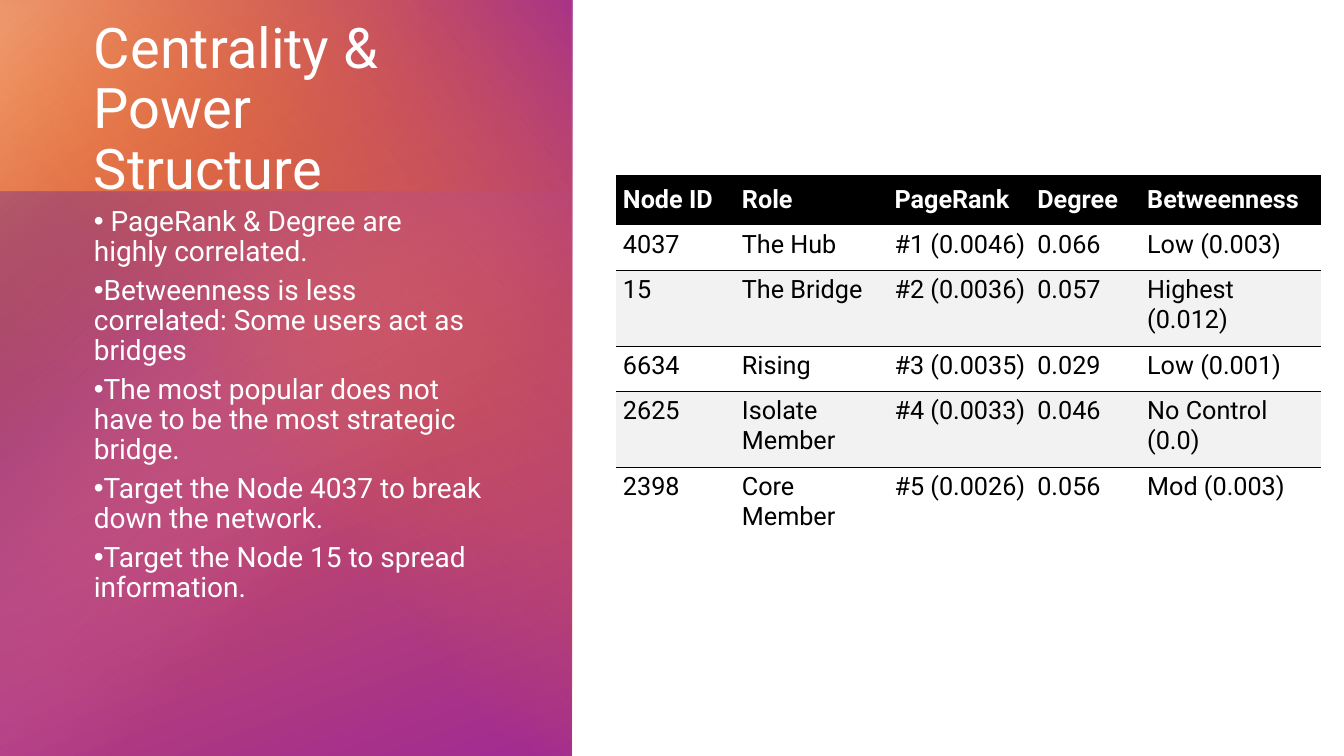
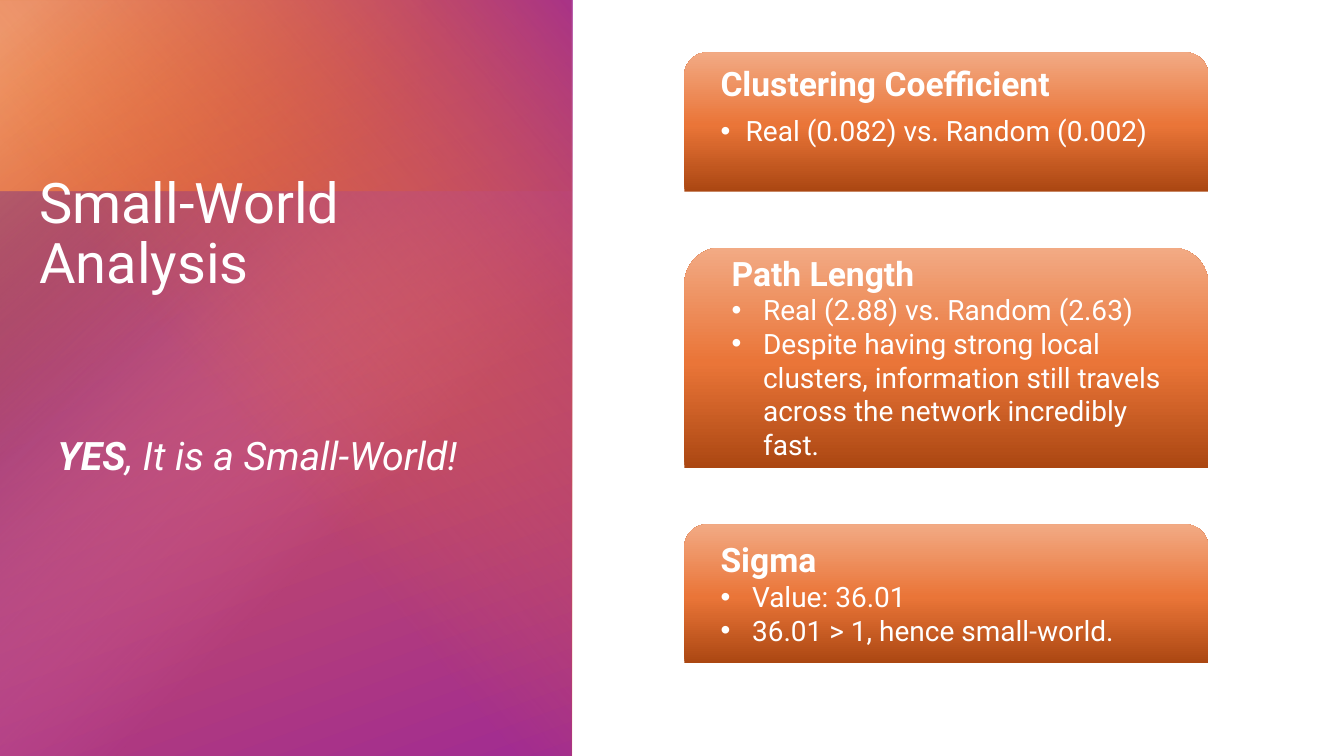
import lxml.etree
import pptx
import pptx.dml.color
import pptx.enum.shapes
import pptx.enum.text
import pptx.oxml
import pptx.oxml.ns
import pptx.util

Pt = pptx.util.Pt
RGBColor = pptx.dml.color.RGBColor
MSO_SHAPE = pptx.enum.shapes.MSO_SHAPE
MSO_ANCHOR = pptx.enum.text.MSO_ANCHOR
qn = pptx.oxml.ns.qn

# Shared look
FONT = "Roboto"
WHITE = RGBColor(0xFF, 0xFF, 0xFF)
BLACK = RGBColor(0x00, 0x00, 0x00)
STRIPE = RGBColor(0xF2, 0xF2, 0xF2)
ORANGE = RGBColor(0xE9, 0x71, 0x32)
PEACH = RGBColor(0xF2, 0xAA, 0x84)
BRIGHT_ORANGE = RGBColor(0xEA, 0x75, 0x38)
RUST = RGBColor(0xAB, 0x47, 0x12)
PURPLE = RGBColor(0xA0, 0x2B, 0x93)
DARK_PURPLE = RGBColor(0x78, 0x20, 0x6E)
PINK = RGBColor(0xD8, 0x6E, 0xCC)

TITLE_SIZE, HEADING_SIZE, BODY_SIZE, TABLE_SIZE = 40, 24, 20, 18
NO_GRID_STYLE = "{2D5ABB26-0587-4C30-8999-92F81FD0307C}"

# Left panel layers: left, top, width, height, rotation, stops, angle (None = radial)
# A stop is position %, colour, opacity %
PANEL_LAYERS = [
    (-1.5, 0, 409.5, 542, 0, [(7, ORANGE, 100), (100, PURPLE, 100)], 70),
    (-1.5, 136.5, 409.5, 405.5, 180, [(0, DARK_PURPLE, 100), (60, PINK, 0)], None),
    (-1.5, 0.5, 301.5, 541.5, 0, [(3, PEACH, 78), (42, ORANGE, 0)], 50),
    (-66.5, 66, 541.5, 409.5, 270, [(0, PURPLE, 86), (57, ORANGE, 0)], 230),
]
CARD_STOPS = [(0, RUST, 100), (48, BRIGHT_ORANGE, 100), (100, PEACH, 100)]

# Slide content
POWER_POINTS = [
    " PageRank & Degree are highly correlated.",
    "Betweenness is less correlated: Some users act as bridges",
    "The most popular does not have to be the most strategic bridge.",
    "Target the Node 4037 to break down the network.",
    "Target the Node 15 to spread information.",
]
NODE_COLUMNS = [85, 109, 102, 78.5, 129]
NODE_ROWS = [
    ["Node ID", "Role", "PageRank", "Degree", "Betweenness"],
    ["4037", "The Hub", "#1 (0.0046)", "0.066", "Low (0.003)"],
    ["15", "The Bridge", "#2 (0.0036)", "0.057", "Highest (0.012)"],
    ["6634", "Rising", "#3 (0.0035)", "0.029", "Low (0.001)"],
    ["2625", "Isolate Member", "#4 (0.0033)", "0.046", "No Control (0.0)"],
    ["2398", "Core Member", "#5 (0.0026)", "0.056", "Mod (0.003)"],
]
# Cards: height, text left, text top inside the card, text width,
# bullet indent, line spacing, space before bullets, lines
CARDS = [
    (99.4, 507.6, 7.2, 321, 18, 0.9, 10,
     ["Clustering Coefficient", "Real (0.082) vs. Random (0.002)"]),
    (157.7, 515.5, 0, 321, 22.5, 1.0, 0,
     ["Path Length", "Real (2.88) vs. Random (2.63)",
      "Despite having strong local clusters, information still travels "
      "across the network incredibly fast."]),
    (99.4, 507.6, 7.2, 329, 22.5, 1.0, 0,
     ["Sigma", "Value: 36.01", "36.01 > 1, hence small-world."]),
]


def style_font(font, size, color=WHITE, bold=False, italic=False):
    font.name = FONT
    font.size = Pt(size)
    font.color.rgb = color
    font.bold = bold
    font.italic = italic


def set_gradient(shape, stops, angle):
    """Fill with a linear gradient, or a radial one when angle is None."""
    properties = shape.fill._xPr
    gradient = pptx.oxml.parse_xml(
        '<a:gradFill xmlns:a="%s" rotWithShape="1"/>' % pptx.oxml.ns.nsuri("a"))
    stop_list = lxml.etree.SubElement(gradient, qn("a:gsLst"))
    for position, color, opacity in stops:
        stop = lxml.etree.SubElement(stop_list, qn("a:gs"), pos=str(position * 1000))
        tint = lxml.etree.SubElement(stop, qn("a:srgbClr"), val=str(color))
        if opacity < 100:
            lxml.etree.SubElement(tint, qn("a:alpha"), val=str(opacity * 1000))
    if angle is None:
        circle = lxml.etree.SubElement(gradient, qn("a:path"))
        circle.set("path", "circle")
        lxml.etree.SubElement(circle, qn("a:fillToRect"), r="100000", b="100000")
    else:
        lxml.etree.SubElement(gradient, qn("a:lin"), ang=str(angle * 60000), scaled="0")
    properties.find(qn("a:prstGeom")).addnext(gradient)


def add_gradient_shape(slide, kind, left, top, width, height, stops, angle):
    shape = slide.shapes.add_shape(kind, Pt(left), Pt(top), Pt(width), Pt(height))
    shape.shadow.inherit = False
    shape.line.fill.background()
    set_gradient(shape, stops, angle)
    return shape


def add_text(slide, left, top, width, height, lines, anchor=MSO_ANCHOR.TOP):
    box = slide.shapes.add_textbox(Pt(left), Pt(top), Pt(width), Pt(height))
    frame = box.text_frame
    frame.word_wrap = True
    frame.vertical_anchor = anchor
    frame.text = "\n".join(lines)
    return frame.paragraphs


def add_bullet(paragraph, margin, indent):
    properties = paragraph._p.get_or_add_pPr()
    properties.set("marL", str(int(Pt(margin))))
    properties.set("indent", str(int(Pt(indent))))
    lxml.etree.SubElement(properties, qn("a:buFont"), typeface="Arial")
    lxml.etree.SubElement(properties, qn("a:buChar"), char="•")


def add_panel(slide):
    for left, top, width, height, rotation, stops, angle in PANEL_LAYERS:
        layer = add_gradient_shape(slide, MSO_SHAPE.RECTANGLE, left, top,
                                   width, height, stops, angle)
        layer.rotation = rotation


def add_title(slide, text, left, top, width, height):
    title, = add_text(slide, left, top, width, height, [text], MSO_ANCHOR.BOTTOM)
    title.line_spacing = 0.9
    style_font(title.runs[0].font, TITLE_SIZE)


def add_border(cell, side):
    line = lxml.etree.SubElement(cell._tc.get_or_add_tcPr(), qn("a:" + side),
                                 w=str(int(Pt(1))))
    solid = lxml.etree.SubElement(line, qn("a:solidFill"))
    lxml.etree.SubElement(solid, qn("a:srgbClr"), val=str(BLACK))


def style_cell(cell, row):
    header, striped = row == 0, row in (2, 4)
    cell.margin_left, cell.margin_right = Pt(5), Pt(3.6)
    cell.margin_top, cell.margin_bottom = Pt(7.2 if header else 3.6), Pt(7.2)
    cell.vertical_anchor = MSO_ANCHOR.MIDDLE if header else MSO_ANCHOR.TOP
    # Rules run above each striped row
    if striped:
        add_border(cell, "lnT")
    elif row in (1, 3):
        add_border(cell, "lnB")
    if header or striped:
        cell.fill.solid()
        cell.fill.fore_color.rgb = BLACK if header else STRIPE
    else:
        cell.fill.background()
    style_font(cell.text_frame.paragraphs[0].runs[0].font, TABLE_SIZE,
               WHITE if header else BLACK, bold=header)


def add_node_table(slide, left, top):
    header_height, row_height = 34.5, 28.8
    frame = slide.shapes.add_table(
        len(NODE_ROWS), len(NODE_COLUMNS), Pt(left), Pt(top), Pt(sum(NODE_COLUMNS)),
        Pt(header_height + row_height * (len(NODE_ROWS) - 1)))
    table = frame.table
    table._tbl.tblPr.find(qn("a:tableStyleId")).text = NO_GRID_STYLE
    for column, width in zip(table.columns, NODE_COLUMNS):
        column.width = Pt(width)
    for row, values in enumerate(NODE_ROWS):
        table.rows[row].height = Pt(row_height if row else header_height)
        for column, value in enumerate(values):
            cell = table.cell(row, column)
            cell.text_frame.text = value
            style_cell(cell, row)


def add_cards(slide, left, top, width, gap):
    for height, text_left, text_top, text_width, indent, spacing, before, lines in CARDS:
        add_gradient_shape(slide, MSO_SHAPE.ROUND_2_SAME_RECTANGLE, left, top,
                           width, height, CARD_STOPS, 270)
        heading, *facts = add_text(slide, text_left, top + text_top, text_width,
                                   height - 2 * text_top, lines)
        heading.line_spacing = spacing
        style_font(heading.runs[0].font, HEADING_SIZE, bold=True)
        for fact in facts:
            add_bullet(fact, indent, -indent)
            fact.line_spacing = spacing
            fact.space_before = Pt(before)
            style_font(fact.runs[0].font, BODY_SIZE)
        top += height + gap


def add_verdict(slide):
    verdict, = add_text(slide, 34, 304.5, 316, 41, ["YES"])
    verdict.add_run().text = ", It is a Small-World!"
    for run, bold in zip(verdict.runs, (True, False)):
        style_font(run.font, 28, bold=bold, italic=True)


def build_power_slide(slide):
    add_panel(slide)
    add_title(slide, "Centrality & Power Structure", 60, 20, 291.5, 127.5)
    for point in add_text(slide, 60, 144.5, 291.5, 277, POWER_POINTS):
        add_bullet(point, 0, -18)
        point.line_spacing = 0.9
        point.space_after = Pt(6)
        style_font(point.runs[0].font, BODY_SIZE)
    add_node_table(slide, 440, 124.8)


def build_small_world_slide(slide):
    add_panel(slide)
    add_title(slide, "Small-World Analysis", 21, 162.5, 365, 52.5)
    add_cards(slide, 488.8, 37.4, 374.4, 40)
    add_verdict(slide)


def main():
    deck = pptx.Presentation()
    deck.slide_width, deck.slide_height = Pt(960), Pt(540)
    blank = deck.slide_layouts[6]
    for build in (build_power_slide, build_small_world_slide):
        build(deck.slides.add_slide(blank))
    deck.save("out.pptx")


if __name__ == "__main__":
    main()
